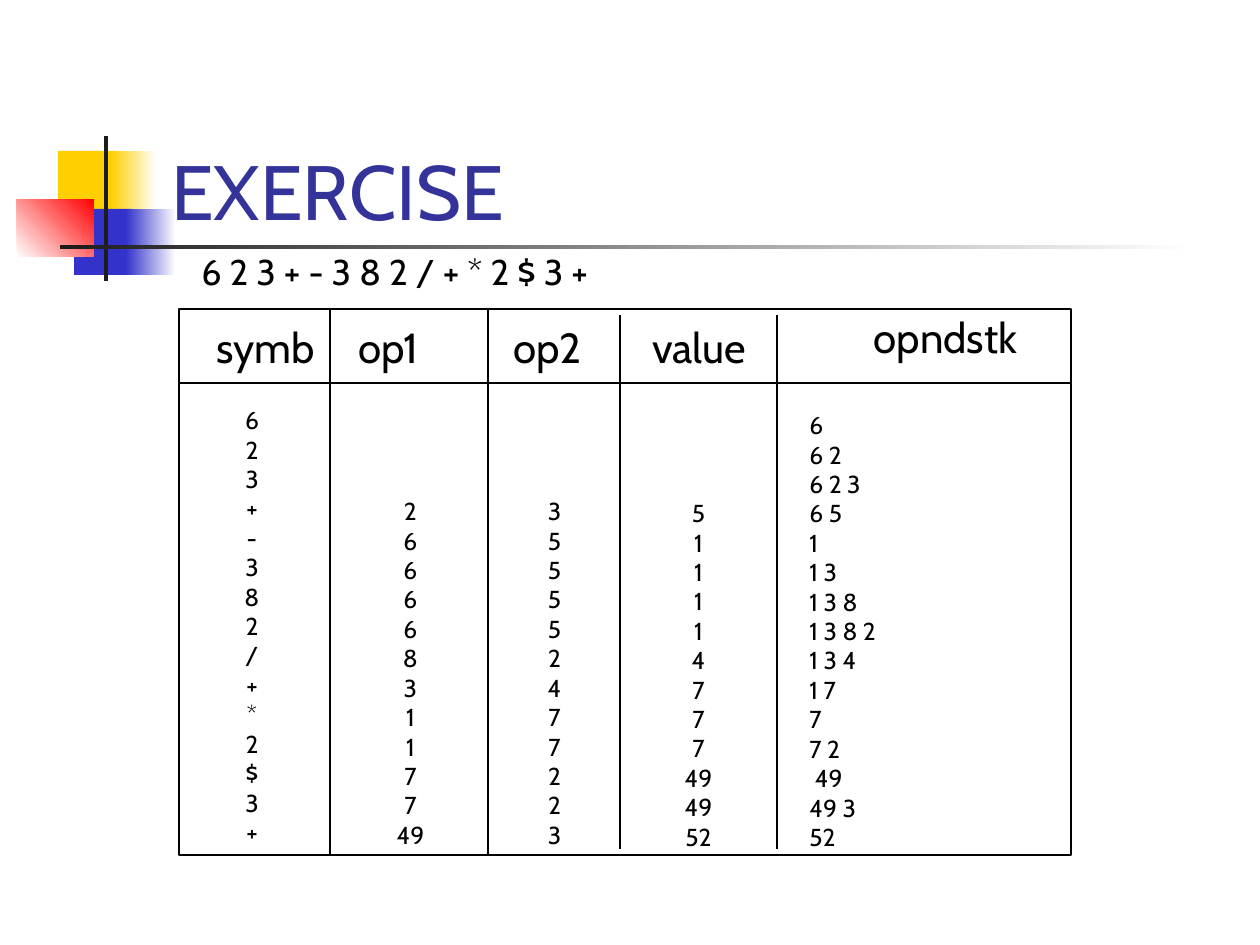
import pptx
import pptx.dml.color
import pptx.enum.shapes
import pptx.enum.text
import pptx.oxml
import pptx.oxml.ns
import pptx.util
from dataclasses import dataclass

PX = 914400 / 126
ALIGN = pptx.enum.text.PP_ALIGN
ANCHOR = pptx.enum.text.MSO_ANCHOR


@dataclass(frozen=True)
class Theme:
    font: str = "Cabin"
    ink: str = "000000"
    title: str = "333399"
    yellow: str = "FFCF01"
    blue: str = "3333CC"
    red: str = "FF0000"
    bar: str = "1C1C1C"
    paper: str = "FFFFFF"
    title_size: float = 44
    expression_size: float = 20.4
    heading_size: float = 24
    entry_size: float = 14
    rule_width: float = 0.75


THEME = Theme()


def px(*lengths):
    return [pptx.util.Emu(round(length * PX)) for length in lengths]


def rgb(value):
    return pptx.dml.color.RGBColor.from_string(value)


def apply(target, formats):
    for name, value in formats.items():
        setattr(target, name, value)


def add_block(slide, box, colours=(), angle=0, outline=None):
    """Rectangle with no fill, one colour, or a two-colour gradient."""
    block = slide.shapes.add_shape(
        pptx.enum.shapes.MSO_SHAPE.RECTANGLE, *px(*box))
    block.shadow.inherit = False
    if not colours:
        block.fill.background()
    elif len(colours) == 1:
        block.fill.solid()
        block.fill.fore_color.rgb = rgb(colours[0])
    else:
        block.fill.gradient()
        block.fill.gradient_angle = angle
        for stop, colour in zip(block.fill.gradient_stops, colours):
            stop.color.rgb = rgb(colour)
    if outline:
        block.line.color.rgb = rgb(outline)
        block.line.width = pptx.util.Pt(THEME.rule_width)
    else:
        block.line.fill.background()


def add_rule(slide, x1, y1, x2, y2):
    rule = slide.shapes.add_connector(
        pptx.enum.shapes.MSO_CONNECTOR.STRAIGHT, *px(x1, y1, x2, y2))
    rule.line.color.rgb = rgb(THEME.ink)
    rule.line.width = pptx.util.Pt(THEME.rule_width)
    rule._element.spPr.append(
        pptx.oxml.parse_xml("<a:effectLst %s/>" % pptx.oxml.ns.nsdecls("a")))


def add_text(slide, box, lines, size, colour=THEME.ink, align=ALIGN.LEFT,
             **frame_formats):
    frame = slide.shapes.add_textbox(*px(*box)).text_frame
    apply(frame, {"word_wrap": True, **frame_formats})
    frame.text = "\n".join(lines)
    for paragraph in frame.paragraphs:
        paragraph.alignment = align
        apply(paragraph.font, {"name": THEME.font, "size": pptx.util.Pt(size)})
        paragraph.font.color.rgb = rgb(colour)


def add_ornament(slide, left, top):
    """Coloured squares crossed by two bars."""
    blocks = [
        ((41, 15, 60, 66), [THEME.yellow], 0),
        ((94, 15, 45, 66), [THEME.yellow, THEME.paper], 0),
        ((57, 73, 58, 66), [THEME.blue], 0),
        ((109, 73, 50, 66), [THEME.blue, THEME.paper], 0),
        ((0, 63, 77, 58), [THEME.paper, THEME.red], 45),
        ((87, 0, 4, 145), [THEME.bar], 0),
        ((43, 109, 1134, 4), [THEME.bar, THEME.paper], 0),
    ]
    for (x, y, width, height), colours, angle in blocks:
        add_block(slide, (left + x, top + y, width, height), colours, angle)


def add_heading(slide, left, top):
    """Title and the postfix expression below it."""
    add_text(slide, (left, top, 1074, 158), ["EXERCISE"], THEME.title_size,
             THEME.title, vertical_anchor=ANCHOR.BOTTOM)
    add_text(slide, (left + 30, top + 115, 1071, 95),
             ["6 2 3 + - 3 8 2 / + * 2 $ 3 +"], THEME.expression_size,
             margin_top=px(51)[0])


def add_trace(slide, left, top, width, height):
    """Ruled evaluation trace, one text column for each heading."""
    header, inset = 74, 6
    add_block(slide, (left, top, width, height), outline=THEME.ink)
    for x in (151, 309):
        add_rule(slide, left + x, top, left + x, top + height)
    for x in (441, 598):
        add_rule(slide, left + x, top + inset, left + x, top + height - inset)
    add_rule(slide, left, top + header, left + width, top + header)

    # heading, its x, y, width; entries, their x, y, width, alignment
    columns = [
        ("symb", 21, 6, 131, "6 2 3 + - 3 8 2 / + * 2 $ 3 +".split(),
         10, 90, 126, ALIGN.CENTER),
        ("op1", 160, 6, 99, "2 6 6 6 6 8 3 1 1 7 7 49".split(),
         205, 181, 53, ALIGN.CENTER),
        ("op2", 319, 6, 99, "3 5 5 5 5 2 4 7 7 2 2 3".split(),
         356, 181, 39, ALIGN.CENTER),
        ("value", 455, 6, 130, "5 1 1 1 1 4 7 7 7 49 49 52".split(),
         493, 183, 53, ALIGN.CENTER),
        ("opndstk", 674, -4, 185,
         ["6", "6 2", "6 2 3", "6 5", "1", "1 3", "1 3 8", "1 3 8 2",
          "1 3 4", "1 7", "7", "7 2", " 49", "49 3", "52"],
         618, 95, 139, ALIGN.LEFT),
    ]
    for (heading, head_x, head_y, head_width,
         entries, x, y, entry_width, align) in columns:
        add_text(slide, (left + head_x, top + head_y, head_width, 63),
                 [heading], THEME.heading_size, align=ALIGN.CENTER,
                 word_wrap=False)
        add_text(slide,
                 (left + x, top + y, entry_width, 13 + 29.4 * len(entries)),
                 entries, THEME.entry_size, align=align,
                 word_wrap=entry_width > 100)


def main():
    deck = pptx.Presentation()
    deck.slide_width, deck.slide_height = px(1260, 945)
    slide = deck.slides.add_slide(deck.slide_layouts[6])
    add_ornament(slide, 17, 136)
    add_heading(slide, 159, 84)
    add_trace(slide, 179, 309, 892, 546)
    deck.save("out.pptx")


if __name__ == "__main__":
    main()
